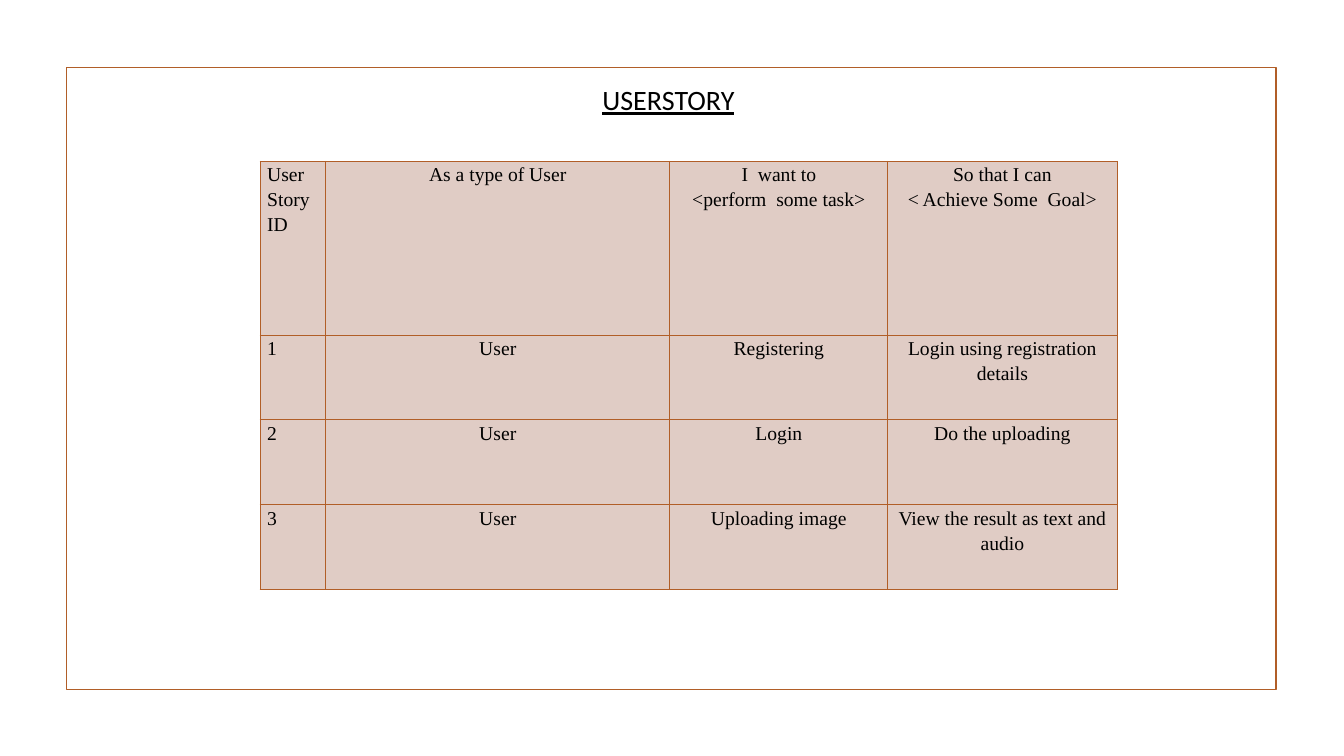
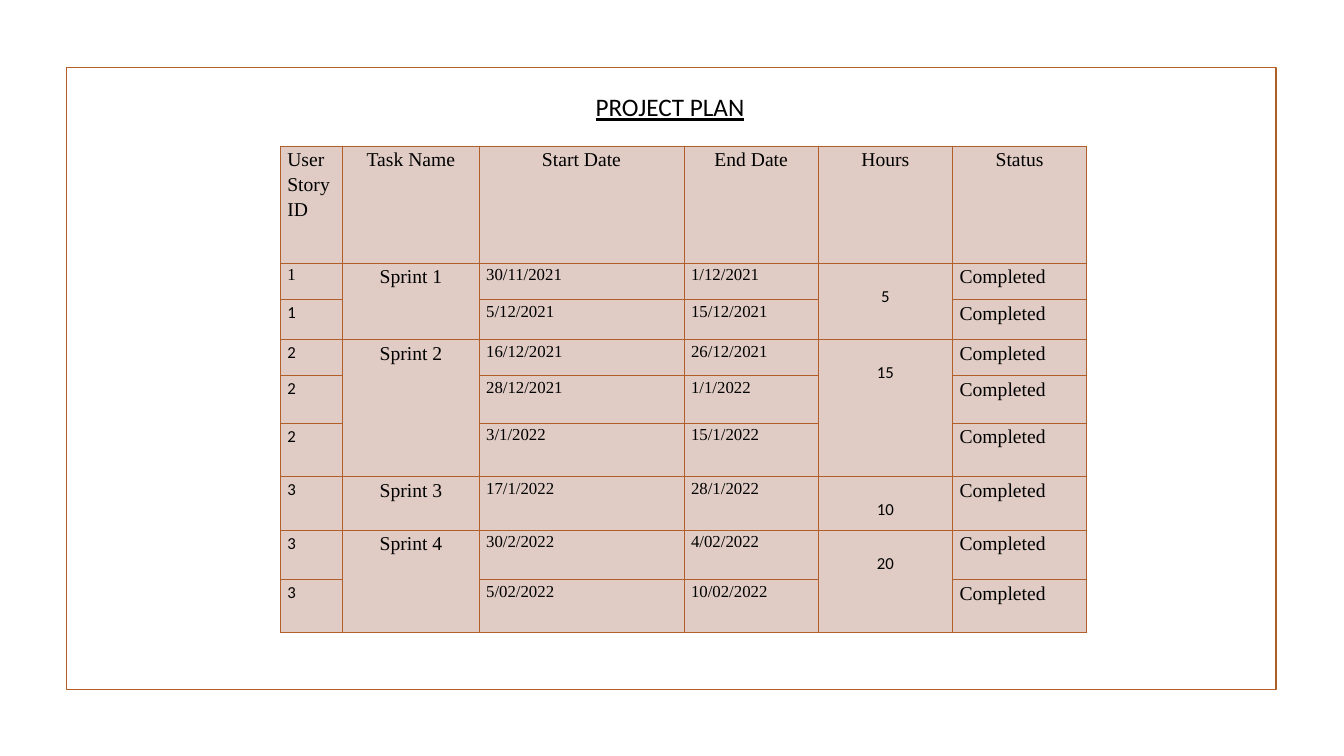
from collections import namedtuple

from lxml import etree
from pptx import Presentation
from pptx.dml.color import RGBColor
from pptx.enum.shapes import MSO_SHAPE as Shape
from pptx.enum.text import MSO_ANCHOR as Anchor, PP_ALIGN as Align
from pptx.oxml.ns import qn
from pptx.util import Inches, Pt

Box = namedtuple("Box", "left top width height")

SLIDE_WIDTH, SLIDE_HEIGHT = 13.33, 7.5
BLANK_LAYOUT = 6
FRAME = Box(0.66, 0.67, 12, 6.17)

RUST = RGBColor(0xB1, 0x5E, 0x28)
BLUSH = RGBColor(0xE0, 0xCC, 0xC5)
BLACK = RGBColor(0x00, 0x00, 0x00)
SANS = "Calibri"
SERIF = "Times New Roman"
BODY_SIZE, SMALL_SIZE = 14, 12

STORY_HEADINGS = [
    "User Story ID",
    "As a type of User",
    "I  want to\n<perform  some task>",
    "So that I can\n< Achieve Some  Goal>",
]
STORIES = [
    ("1", "User", "Registering", "Login using registration details"),
    ("2", "User", "Login", "Do the uploading"),
    ("3", "User", "Uploading image", "View the result as text and audio"),
]

PLAN_HEADINGS = ["User Story ID", "Task Name", "Start Date", "End Date", "Hours", "Status"]
# Each sprint: name, hours, tasks as (story, start, end)
SPRINTS = [
    ("Sprint 1", "5", [("1", "30/11/2021", "1/12/2021"),
                       ("1", "5/12/2021", "15/12/2021")]),
    ("Sprint 2", "15", [("2", "16/12/2021", "26/12/2021"),
                        ("2", "28/12/2021", "1/1/2022"),
                        ("2", "3/1/2022", "15/1/2022")]),
    ("Sprint 3", "10", [("3", "17/1/2022", "28/1/2022")]),
    ("Sprint 4", "20", [("3", "30/2/2022", "4/02/2022"),
                        ("3", "5/02/2022", "10/02/2022")]),
]


def in_inches(box):
    return [Inches(length) for length in box]


def style_run(run, size, font):
    run.font.size = Pt(size)
    run.font.name = font
    run.font.color.rgb = BLACK


def add_frame(slide, box):
    frame = slide.shapes.add_shape(Shape.RECTANGLE, *in_inches(box))
    frame.shadow.inherit = False
    frame.fill.background()
    frame.line.color.rgb = RUST
    frame.line.width = Pt(1.25)


def add_title(slide, text, box, size):
    frame = slide.shapes.add_textbox(*in_inches(box)).text_frame
    frame.word_wrap = True
    frame.vertical_anchor = Anchor.MIDDLE
    paragraph = frame.paragraphs[0]
    paragraph.alignment = Align.CENTER
    run = paragraph.add_run()
    run.text = text
    style_run(run, size, SANS)
    run.font.underline = True


def add_cell_borders(cell):
    properties = cell._tc.get_or_add_tcPr()
    for side in ("lnL", "lnR", "lnT", "lnB"):
        line = etree.SubElement(properties, qn(f"a:{side}"), w=str(Pt(0.75)))
        fill = etree.SubElement(line, qn("a:solidFill"))
        etree.SubElement(fill, qn("a:srgbClr"), val=str(RUST))


def add_grid(slide, box, column_shares, row_shares):
    """Add an empty table whose columns and rows divide the box by their shares."""
    table = slide.shapes.add_table(
        len(row_shares), len(column_shares), *in_inches(box)).table
    table.first_row = table.horz_banding = False
    for column, share in zip(table.columns, column_shares):
        column.width = Inches(box.width * share / sum(column_shares))
    for row, share in zip(table.rows, row_shares):
        row.height = Inches(box.height * share / sum(row_shares))
    for cell in table.iter_cells():
        add_cell_borders(cell)
        cell.fill.solid()
        cell.fill.fore_color.rgb = BLUSH
        cell.margin_left = cell.margin_right = Inches(0.07)
        cell.margin_top = cell.margin_bottom = 0
    return table


def write_cell(cell, text, align=Align.LEFT, size=BODY_SIZE, font=SERIF):
    frame = cell.text_frame
    for index, line in enumerate(text.split("\n")):
        paragraph = frame.add_paragraph() if index else frame.paragraphs[0]
        paragraph.alignment = align
        paragraph.line_spacing = 1.15
        run = paragraph.add_run()
        run.text = line
        style_run(run, size, font)


def write_row(table, row, texts):
    """Write one row: the first column to the left, the others centred."""
    for column, text in enumerate(texts):
        write_cell(table.cell(row, column), text, Align.CENTER if column else Align.LEFT)


def add_story_table(slide, box):
    table = add_grid(slide, box, [0.65, 3.41, 2.16, 2.27], [1.72] + [0.84] * len(STORIES))
    for row, texts in enumerate([STORY_HEADINGS, *STORIES]):
        write_row(table, row, texts)


def write_sprint(table, first_row, name, hours, tasks):
    """Write the tasks of a sprint beside its merged name and hours."""
    last_row = first_row + len(tasks) - 1
    name_cell, hours_cell = table.cell(first_row, 1), table.cell(first_row, 4)
    if last_row > first_row:
        name_cell.merge(table.cell(last_row, 1))
        hours_cell.merge(table.cell(last_row, 4))
    write_cell(name_cell, name, Align.CENTER)
    write_cell(hours_cell, hours, Align.CENTER, SMALL_SIZE, SANS)
    hours_cell.margin_top = Inches(0.2)
    for row, (story, start, end) in enumerate(tasks, first_row):
        story_font = SERIF if row == 1 else SANS
        write_cell(table.cell(row, 0), story, size=SMALL_SIZE, font=story_font)
        write_cell(table.cell(row, 2), start, size=SMALL_SIZE)
        write_cell(table.cell(row, 3), end, size=SMALL_SIZE)
        write_cell(table.cell(row, 5), "Completed")


def add_plan_table(slide, box):
    table = add_grid(slide, box, [0.62, 1.35, 2.03, 1.33, 1.33, 1.33],
                     [1.16, 0.36, 0.4, 0.36, 0.47, 0.53, 0.53, 0.49, 0.53])
    write_row(table, 0, PLAN_HEADINGS)
    first_row = 1
    for name, hours, tasks in SPRINTS:
        write_sprint(table, first_row, name, hours, tasks)
        first_row += len(tasks)


def add_framed_slide(presentation, title, title_box, title_size):
    slide = presentation.slides.add_slide(presentation.slide_layouts[BLANK_LAYOUT])
    add_frame(slide, FRAME)
    add_title(slide, title, title_box, title_size)
    return slide


def main():
    presentation = Presentation()
    presentation.slide_width = Inches(SLIDE_WIDTH)
    presentation.slide_height = Inches(SLIDE_HEIGHT)

    story_slide = add_framed_slide(
        presentation, "USERSTORY", Box(0.7, 0.76, 11.86, 0.46), 20)
    add_story_table(story_slide, Box(2.58, 1.6, 8.5, 4.25))

    plan_slide = add_framed_slide(
        presentation, "PROJECT PLAN", Box(0.68, 0.84, 11.93, 0.44), 18)
    add_plan_table(plan_slide, Box(2.78, 1.45, 8, 4.83))

    presentation.save("out.pptx")


if __name__ == "__main__":
    main()
